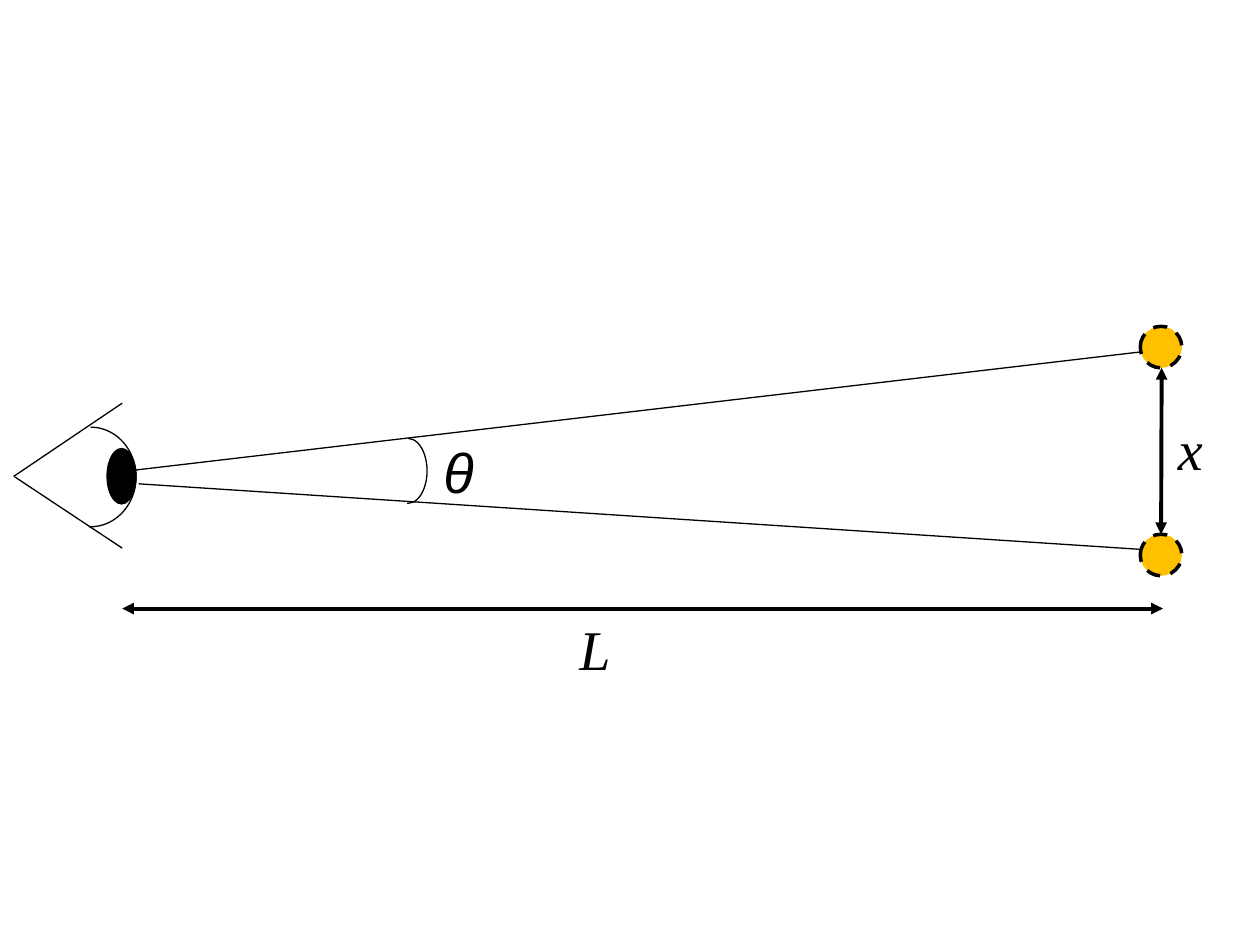
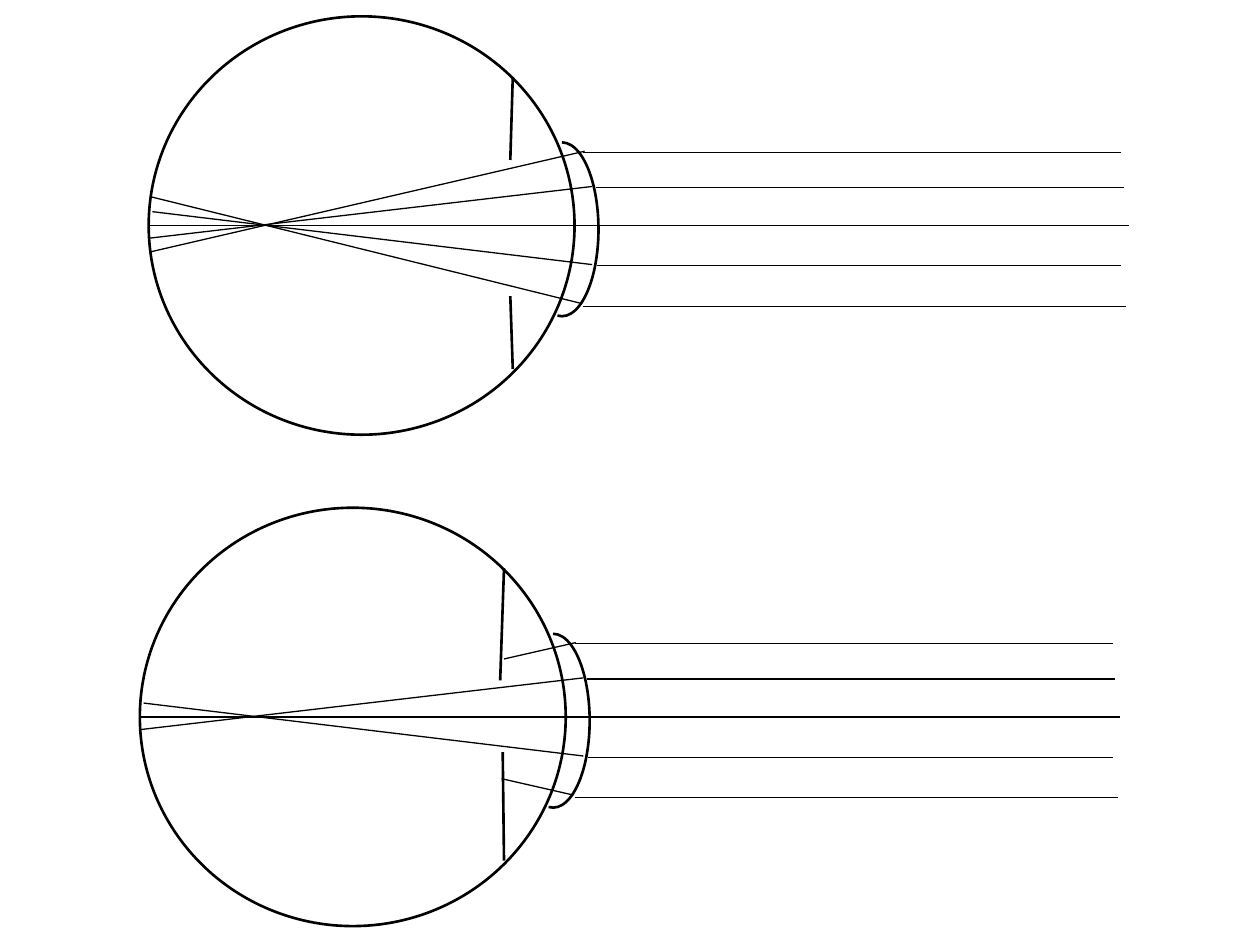
from typing import NamedTuple

from lxml.etree import SubElement
from pptx import Presentation
from pptx.dml.color import RGBColor
from pptx.enum.dml import MSO_LINE
from pptx.enum.shapes import MSO_CONNECTOR as Connector, MSO_SHAPE as Shape
from pptx.oxml.ns import qn
from pptx.util import Inches, Pt

COLOURS = {"ink": "000000", "paper": "FFFFFF", "light": "FFC000"}
SLIDE_WIDTH, SLIDE_HEIGHT = Inches(10), Inches(7.5)
COLUMNS, ROWS = 100, 75
THIN, MEDIUM, DASHED, THICK = 0.75, 1.5, 2, 2.25
BLANK_LAYOUT = 6


class Line(NamedTuple):
    x1: float
    y1: float
    x2: float
    y2: float

    def moved(self, dx: float, dy: float) -> "Line":
        return Line(self.x1 + dx, self.y1 + dy, self.x2 + dx, self.y2 + dy)


class Box(NamedTuple):
    left: float
    top: float
    width: float
    height: float

    def moved(self, dx: float, dy: float) -> "Box":
        return Box(self.left + dx, self.top + dy, self.width, self.height)


class Eye(NamedTuple):
    """An eyeball's corner, its two iris halves and where its outer rays end."""
    left: float
    top: float
    iris: tuple[Line, Line]
    outer_rays: tuple[Line, Line]


# Places inside an eye are counted from the eyeball's top left corner.
EYEBALL = Box(0, 0, 33.8, 33.2)
LENS = Box(29.9, 10, 5.8, 13.8)
SHARED_RAYS = (
    Line(0, 16.6, 77.8, 16.6),
    Line(34.5, 10.8, 77.2, 10.8),
    Line(34.5, 23, 77.6, 23),
    Line(35.5, 13.6, 77.4, 13.6),
    Line(35.6, 19.8, 77.2, 19.8),
    Line(35.2, 13.5, 0.1, 17.6),
    Line(35.2, 19.7, 0.3, 15.5),
)
WIDE_PUPIL = Eye(
    11.8, 1.3,
    iris=(Line(28.9, 4.8, 28.7, 11.4), Line(28.9, 28, 28.7, 22.2)),
    outer_rays=(Line(34.4, 22.8, 0.1, 14.3), Line(34.6, 10.7, 0.1, 18.7)),
)
NARROW_PUPIL = Eye(
    11.1, 40.3,
    iris=(Line(28.9, 4.8, 28.6, 13.7), Line(28.9, 28, 28.8, 19.4)),
    outer_rays=(Line(34.4, 22.8, 28.7, 21.5), Line(34.6, 10.7, 28.9, 12)),
)


def colour(name: str) -> RGBColor:
    return RGBColor.from_string(COLOURS[name])


def across(columns: float) -> int:
    return round(SLIDE_WIDTH * columns / COLUMNS)


def down(rows: float) -> int:
    return round(SLIDE_HEIGHT * rows / ROWS)


def placed(box: Box) -> tuple[int, int, int, int]:
    return across(box.left), down(box.top), across(box.width), down(box.height)


def ink_line(line_format, width: float) -> None:
    line_format.color.rgb = colour("ink")
    line_format.width = Pt(width)


def add_line(slide, line: Line, width: float = THIN, arrows: bool = False):
    connector = slide.shapes.add_connector(
        Connector.STRAIGHT, across(line.x1), down(line.y1), across(line.x2), down(line.y2))
    ink_line(connector.line, width)
    if arrows:
        for end in ("a:headEnd", "a:tailEnd"):
            SubElement(connector.line._get_or_add_ln(), qn(end), type="triangle")
    SubElement(connector._element.spPr, qn("a:effectLst"))
    return connector


def add_ellipse(slide, box: Box, fill: str, width: float, dashed: bool = False):
    ellipse = slide.shapes.add_shape(Shape.OVAL, *placed(box))
    ellipse.shadow.inherit = False
    ellipse.fill.solid()
    ellipse.fill.fore_color.rgb = colour(fill)
    ink_line(ellipse.line, width)
    if dashed:
        ellipse.line.dash_style = MSO_LINE.DASH
    return ellipse


def add_right_arc(slide, box: Box, width: float, end_degrees: float = 92) -> None:
    """Draw the right half of the ellipse that fills the box."""
    arc = slide.shapes.add_shape(Shape.ARC, *placed(box))
    arc.shadow.inherit = False
    arc.fill.background()
    ink_line(arc.line, width)
    # Angles are stored in 60000ths of a degree, adjustments in 100000ths.
    for index, degrees in enumerate((270, end_degrees)):
        arc.adjustments[index] = degrees * 0.6


def add_label(slide, text: str, box: Box, font: str = "Times New Roman",
              size: float = 32, wrap: bool = False, space_after: float = 0) -> None:
    frame = slide.shapes.add_textbox(*placed(box)).text_frame
    frame.word_wrap = wrap
    paragraph = frame.paragraphs[0]
    paragraph.space_after = Pt(space_after)
    run = paragraph.add_run()
    run.text = text
    run.font.name, run.font.size, run.font.italic = font, Pt(size), True
    run.font.color.rgb = colour("ink")


def draw_viewing_angle(slide) -> None:
    for lid_end in (32, 43.5):
        add_line(slide, Line(1.1, 37.8, 9.7, lid_end))
    add_right_arc(slide, Box(3.6, 33.9, 7.2, 7.9), THIN)
    add_ellipse(slide, Box(8.5, 35.6, 2.3, 4.4), "ink", THIN)

    for sight_line in (Line(10.8, 37.3, 90.8, 27.9), Line(11, 38.4, 90.5, 43.6)):
        add_line(slide, sight_line)
    add_right_arc(slide, Box(30.9, 34.8, 3, 5.15), THIN)
    add_label(slide, "θ", Box(34.2, 34.2, 7, 8.3), font="Arial", wrap=True, space_after=10)

    upper_light, lower_light = (
        add_ellipse(slide, Box(90.5, top, 3.3, 3.3), "light", DASHED, dashed=True)
        for top in (25.9, 42.4))
    separation = add_line(slide, Line(92.2, 29.2, 92.1, 42.4), THICK, arrows=True)
    separation.end_connect(lower_light, 0)
    add_label(slide, "x", Box(92.5, 32.4, 4, 6.4))

    add_line(slide, Line(92.3, 48.3, 9.7, 48.3), THICK, arrows=True)
    add_label(slide, "L", Box(45, 48.3, 4.5, 6.4))


def draw_eye(slide, eye: Eye) -> None:
    corner = eye.left, eye.top
    add_ellipse(slide, EYEBALL.moved(*corner), "paper", MEDIUM)
    add_right_arc(slide, LENS.moved(*corner), MEDIUM, end_degrees=93)
    for half in eye.iris:
        add_line(slide, half.moved(*corner), MEDIUM)
    for ray in SHARED_RAYS + eye.outer_rays:
        add_line(slide, ray.moved(*corner))


def main() -> None:
    presentation = Presentation()
    presentation.slide_width, presentation.slide_height = SLIDE_WIDTH, SLIDE_HEIGHT
    layout = presentation.slide_layouts[BLANK_LAYOUT]

    draw_viewing_angle(presentation.slides.add_slide(layout))

    pupil_slide = presentation.slides.add_slide(layout)
    for eye in (WIDE_PUPIL, NARROW_PUPIL):
        draw_eye(pupil_slide, eye)

    presentation.save("out.pptx")


if __name__ == "__main__":
    main()
